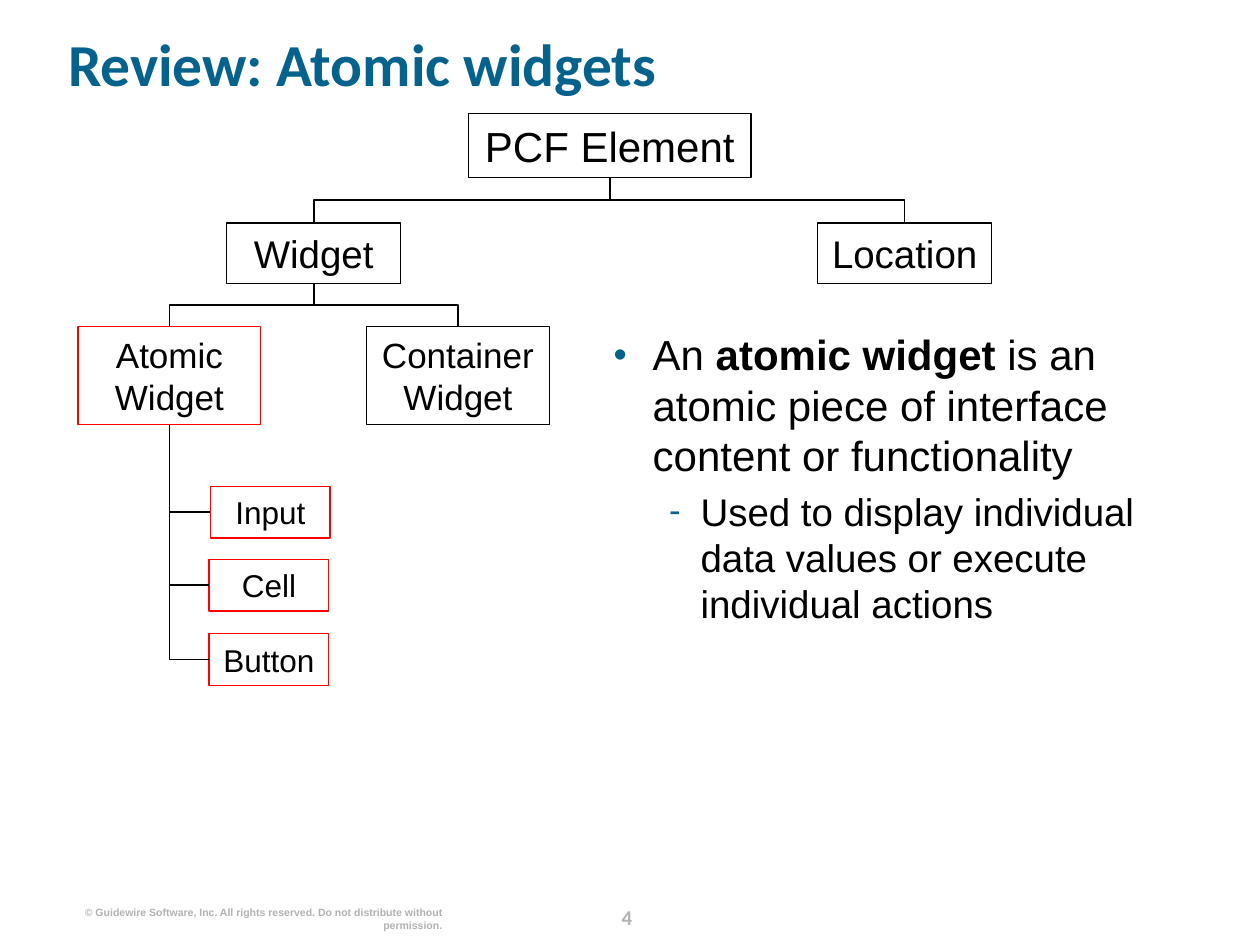
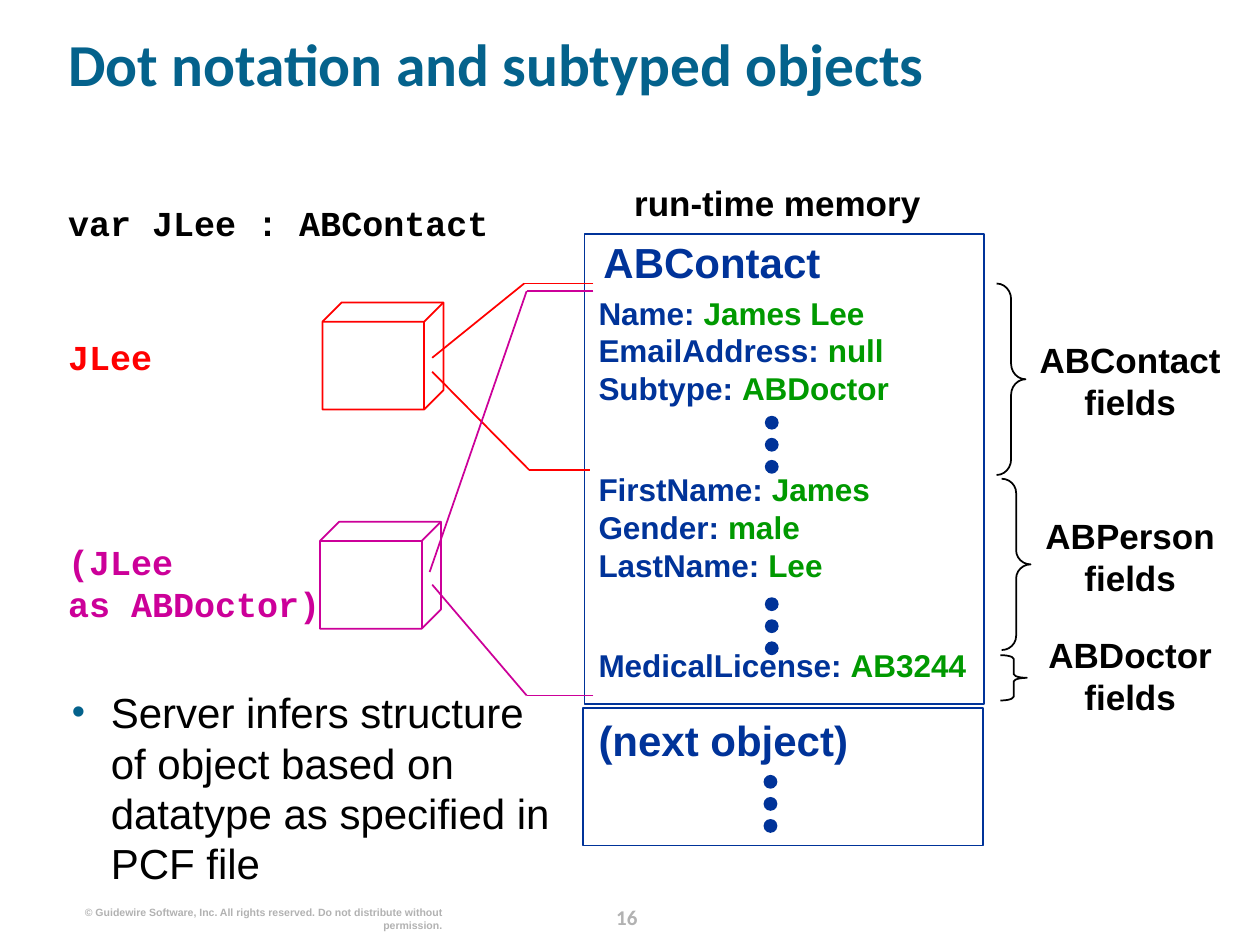
from dataclasses import dataclass
from typing import NamedTuple

from lxml.etree import SubElement
from pptx import Presentation
from pptx.dml.color import RGBColor
from pptx.enum.shapes import MSO_CONNECTOR, MSO_SHAPE
from pptx.enum.text import MSO_ANCHOR, PP_ALIGN
from pptx.oxml.ns import qn
from pptx.shapes.autoshape import Shape
from pptx.shapes.connector import Connector
from pptx.slide import Slide
from pptx.util import Inches, Pt


@dataclass(frozen=True)
class Theme:
    teal: str = "04628C"
    gray: str = "B2B2B2"
    black: str = "000000"
    red: str = "FF0000"
    blue: str = "003399"
    green: str = "009900"
    magenta: str = "CC0099"
    body_font: str = "Arial"
    title_font: str = "Calibri"
    code_font: str = "Courier New"
    title_size: float = 34
    large: float = 24
    medium: float = 22
    label: float = 20
    small: float = 18
    number_size: float = 12
    footer_size: float = 6


THEME = Theme()
BOTTOM, LEFT, TOP = 2, 1, 0


class Box(NamedTuple):
    left: float
    top: float
    width: float
    height: float


class Span(NamedTuple):
    text: str
    color: str = THEME.black
    bold: bool = False


class TextLine(NamedTuple):
    spans: list[Span]
    size: float
    font: str = THEME.body_font
    format: dict = {}
    bullet: str = ""
    level: int = 0


class Node(NamedTuple):
    text: str
    box: Box
    size: float
    color: str = THEME.black


class Label(NamedTuple):
    text: str
    box: Box
    size: float = THEME.label
    color: str = THEME.black
    font: str = THEME.body_font
    align: PP_ALIGN = PP_ALIGN.LEFT


class Brace(NamedTuple):
    box: Box
    curve: float
    label: str
    label_top: float


class ObjectView(NamedTuple):
    color: str
    cube: Box
    beams: list[list[tuple[float, float]]]


NODES = {
    "element": Node("PCF Element", Box(3.72, 0.9, 2.24, 0.51), THEME.large),
    "widget": Node("Widget", Box(1.8, 1.77, 1.38, 0.48), THEME.medium),
    "location": Node("Location", Box(6.49, 1.77, 1.38, 0.48), THEME.medium),
    "atomic": Node("Atomic Widget", Box(0.62, 2.59, 1.45, 0.78), THEME.label, THEME.red),
    "container": Node("Container Widget", Box(2.91, 2.59, 1.45, 0.78), THEME.label),
    "input": Node("Input", Box(1.67, 3.86, 0.95, 0.41), THEME.small, THEME.red),
    "cell": Node("Cell", Box(1.66, 4.44, 0.95, 0.41), THEME.small, THEME.red),
    "button": Node("Button", Box(1.66, 5.03, 0.95, 0.41), THEME.small, THEME.red),
}
BRANCHES = [
    ("element", "widget", TOP), ("element", "location", TOP),
    ("widget", "atomic", TOP), ("widget", "container", TOP),
    ("atomic", "input", LEFT), ("atomic", "cell", LEFT), ("atomic", "button", LEFT),
]
FIELD_GROUPS = [
    [("Name", "James Lee"), ("EmailAddress", "null"), ("Subtype", "ABDoctor")],
    [("FirstName", "James"), ("Gender", "male"), ("LastName", "Lee")],
    [("MedicalLicense", "AB3244")],
]
MEMORY_BLOCKS = [Box(4.64, 1.86, 3.17, 3.73), Box(4.63, 5.62, 3.17, 1.09)]
ELLIPSES = [(6.07, 3.3), (6.07, 4.74), (6.06, 6.15)]
BRACES = [
    Brace(Box(7.91, 2.25, 0.23, 1.52), 0.54, "ABContact\nfields", 2.69),
    Brace(Box(7.95, 3.8, 0.23, 1.36), 0.49, "ABPerson\nfields", 4.08),
    Brace(Box(7.94, 5.2, 0.21, 0.36), 0.14, "ABDoctor\nfields", 5.03),
]
OBJECT_VIEWS = [
    ObjectView(THEME.red, Box(2.56, 2.4, 0.96, 0.85), [
        [(4.71, 2.25), (4.16, 2.25), (3.43, 2.84)],
        [(4.68, 3.73), (4.2, 3.73), (3.43, 2.95)],
    ]),
    ObjectView(THEME.magenta, Box(2.54, 4.14, 0.96, 0.85), [
        [(4.71, 2.31), (4.18, 2.31), (3.41, 4.54)],
        [(4.71, 5.52), (4.18, 5.52), (3.43, 4.64)],
    ]),
]
LABELS = [
    Label("ABContact", Box(4.69, 1.88, 1.92, 0.4), THEME.large, THEME.blue,
          align=PP_ALIGN.CENTER),
    Label("(next object)", Box(4.75, 5.67, 2.55, 0.4), THEME.large, THEME.blue),
    Label("run-time memory", Box(4.98, 1.44, 2.38, 0.33), align=PP_ALIGN.CENTER),
    Label("var JLee : ABContact", Box(0.54, 1.6, 3.57, 0.33), font=THEME.code_font),
    Label("JLee", Box(0.54, 2.66, 1.32, 0.33), color=THEME.red, font=THEME.code_font),
    Label("(JLee\nas ABDoctor)", Box(0.54, 4.29, 2.2, 0.67), color=THEME.magenta,
          font=THEME.code_font),
]


def apply_format(target: object, values: dict) -> None:
    for name, value in values.items():
        setattr(target, name, value)


def inches(box: Box) -> list[int]:
    return [Inches(value) for value in box]


def write_lines(shape: Shape, lines: list[TextLine]) -> None:
    frame = shape.text_frame
    for index, line in enumerate(lines):
        paragraph = frame.paragraphs[0] if index == 0 else frame.add_paragraph()
        apply_format(paragraph, line.format)
        if line.bullet:
            add_bullet(paragraph, line.bullet, line.level)
        for span in line.spans:
            run = paragraph.add_run()
            run.text = span.text
            apply_format(run.font, {"name": line.font, "size": Pt(line.size), "bold": span.bold})
            run.font.color.rgb = RGBColor.from_string(span.color)


def add_bullet(paragraph, character: str, level: int) -> None:
    margin, hanging = [(0.31, 0.31), (0.69, 0.25)][level]
    paragraph.level = level
    properties = paragraph._p.get_or_add_pPr()
    properties.set("marL", str(Inches(margin)))
    properties.set("indent", str(-Inches(hanging)))
    color = SubElement(properties, qn("a:buClr"))
    SubElement(color, qn("a:srgbClr"), val=THEME.teal)
    SubElement(properties, qn("a:buSzPct"), val="90000")
    SubElement(properties, qn("a:buFont"), typeface=THEME.body_font)
    SubElement(properties, qn("a:buChar"), char=character)


def add_text(slide: Slide, box: Box, lines: list[TextLine],
             anchor: MSO_ANCHOR = MSO_ANCHOR.TOP) -> None:
    shape = slide.shapes.add_textbox(*inches(box))
    apply_format(shape.text_frame, {
        "word_wrap": True, "vertical_anchor": anchor, "margin_left": 0,
        "margin_right": 0, "margin_top": 0, "margin_bottom": 0,
    })
    write_lines(shape, lines)


def add_label(slide: Slide, label: Label) -> None:
    add_text(slide, label.box, [
        TextLine([Span(text, label.color, True)], label.size, label.font,
                 {"alignment": label.align})
        for text in label.text.split("\n")
    ])


def add_outline(slide: Slide, kind: MSO_SHAPE, box: Box, color: str, width: float = 1,
                adjustments: tuple[float, ...] = ()) -> Shape:
    shape = slide.shapes.add_shape(kind, *inches(box))
    shape.shadow.inherit = False
    shape.fill.background()
    shape.line.color.rgb = RGBColor.from_string(color)
    shape.line.width = Pt(width)
    for index, value in enumerate(adjustments):
        shape.adjustments[index] = value
    return shape


def style_connector(connector: Connector, color: str) -> None:
    connector.line.color.rgb = RGBColor.from_string(color)
    connector.line.width = Pt(1)
    SubElement(connector._element.spPr, qn("a:effectLst"))


def add_node(slide: Slide, node: Node) -> Shape:
    shape = add_outline(slide, MSO_SHAPE.RECTANGLE, node.box, node.color, 0.75)
    shape.text_frame.word_wrap = True
    write_lines(shape, [TextLine([Span(node.text)], node.size,
                                 format={"alignment": PP_ALIGN.CENTER})])
    return shape


def add_branch(slide: Slide, parent: Shape, child: Shape, side: int) -> None:
    connector = slide.shapes.add_connector(MSO_CONNECTOR.ELBOW, 0, 0, 0, 0)
    connector.begin_connect(parent, BOTTOM)
    connector.end_connect(child, side)
    start_x, start_y = parent.left + parent.width // 2, parent.top + parent.height
    end_x = child.left + (child.width // 2 if side == TOP else 0)
    end_y = child.top + (child.height // 2 if side == LEFT else 0)
    width, height = end_y - start_y, abs(end_x - start_x)
    apply_format(connector, {
        "left": (start_x + end_x - width) // 2, "top": (start_y + end_y - height) // 2,
        "width": width, "height": height,
    })
    transform = connector._element.spPr.find(qn("a:xfrm"))
    goes_right = end_x > start_x
    turns = {"rot": "16200000" if goes_right else "5400000",
             "flipH": "1" if goes_right else "0", "flipV": "0"}
    for name, value in turns.items():
        transform.set(name, value)
    if side == LEFT:
        connector._element.spPr.find(qn("a:prstGeom")).set("prst", "bentConnector2")
    style_connector(connector, THEME.black)


def add_beam(slide: Slide, points: list[tuple[float, float]], color: str) -> None:
    for start, end in zip(points, points[1:]):
        ends = [Inches(value) for value in (*start, *end)]
        style_connector(slide.shapes.add_connector(MSO_CONNECTOR.STRAIGHT, *ends), color)


def add_dots(slide: Slide, left: float, top: float) -> None:
    for index in range(3):
        box = Box(left, top + index * 0.35 / 2, 0.11, 0.11)
        dot = add_outline(slide, MSO_SHAPE.OVAL, box, THEME.blue)
        dot.fill.solid()
        dot.fill.fore_color.rgb = RGBColor.from_string(THEME.blue)
        dot.line.fill.background()


def add_base(presentation: Presentation, title: str, number: int) -> Slide:
    slide = presentation.slides.add_slide(presentation.slide_layouts[6])
    add_text(slide, Box(4.69, 7.13, 0.57, 0.25), [
        TextLine([Span(str(number), THEME.gray, True)], THEME.number_size, THEME.title_font,
                 {"alignment": PP_ALIGN.CENTER, "line_spacing": Pt(18)})])
    copyright_line = ("© Guidewire Software, Inc. All rights reserved. "
                      "Do not distribute without permission.")
    add_text(slide, Box(0.61, 7.19, 2.9, 0.1), [
        TextLine([Span(copyright_line, THEME.gray, True)], THEME.footer_size,
                 format={"alignment": PP_ALIGN.RIGHT})])
    add_text(slide, Box(0.54, 0.13, 9.1, 0.81), [
        TextLine([Span(title, THEME.teal, True)], THEME.title_size, THEME.title_font,
                 {"line_spacing": 0.9})], MSO_ANCHOR.MIDDLE)
    return slide


def build_widget_slide(presentation: Presentation) -> None:
    slide = add_base(presentation, "Review: Atomic widgets", 4)
    definition = [Span("An "), Span("atomic widget", bold=True),
                  Span(" is an atomic piece of interface content or functionality")]
    usage = "Used to display individual data values or execute individual actions"
    add_text(slide, Box(4.87, 2.61, 4.79, 4.38), [
        TextLine(definition, THEME.large, bullet="•"),
        TextLine([Span(usage)], THEME.medium, format={"space_before": Pt(4.4)},
                 bullet="-", level=1),
    ])
    shapes = {key: add_node(slide, node) for key, node in NODES.items()}
    for parent, child, side in BRANCHES:
        add_branch(slide, shapes[parent], shapes[child], side)


def build_notation_slide(presentation: Presentation) -> None:
    slide = add_base(presentation, "Dot notation and subtyped objects", 16)
    summary = "Server infers structure of object based on datatype as specified in PCF file"
    add_text(slide, Box(0.57, 5.45, 3.86, 1.37),
             [TextLine([Span(summary)], THEME.large, bullet="•")])
    for block in MEMORY_BLOCKS:
        add_outline(slide, MSO_SHAPE.RECTANGLE, block, THEME.blue)
    add_text(slide, Box(4.75, 2.33, 2.99, 3.19), [
        TextLine([Span(f"{name}: ", THEME.blue, True), Span(value, THEME.green, True)],
                 THEME.small,
                 format={"space_before": Pt(36)} if group_index and not row else {})
        for group_index, group in enumerate(FIELD_GROUPS)
        for row, (name, value) in enumerate(group)
    ])
    for left, top in ELLIPSES:
        add_dots(slide, left, top)
    for brace in BRACES:
        add_outline(slide, MSO_SHAPE.RIGHT_BRACE, brace.box, THEME.black,
                    adjustments=(brace.curve, 0.5))
        add_label(slide, Label(brace.label, Box(8.12, brace.label_top, 1.7, 0.67),
                               align=PP_ALIGN.CENTER))
    for view in OBJECT_VIEWS:
        add_outline(slide, MSO_SHAPE.CUBE, view.cube, view.color, adjustments=(0.18,))
        for beam in view.beams:
            add_beam(slide, beam, view.color)
    for label in LABELS:
        add_label(slide, label)


def main() -> None:
    presentation = Presentation()
    apply_format(presentation, {"slide_width": Inches(10), "slide_height": Inches(7.5)})
    build_widget_slide(presentation)
    build_notation_slide(presentation)
    presentation.save("out.pptx")


if __name__ == "__main__":
    main()
